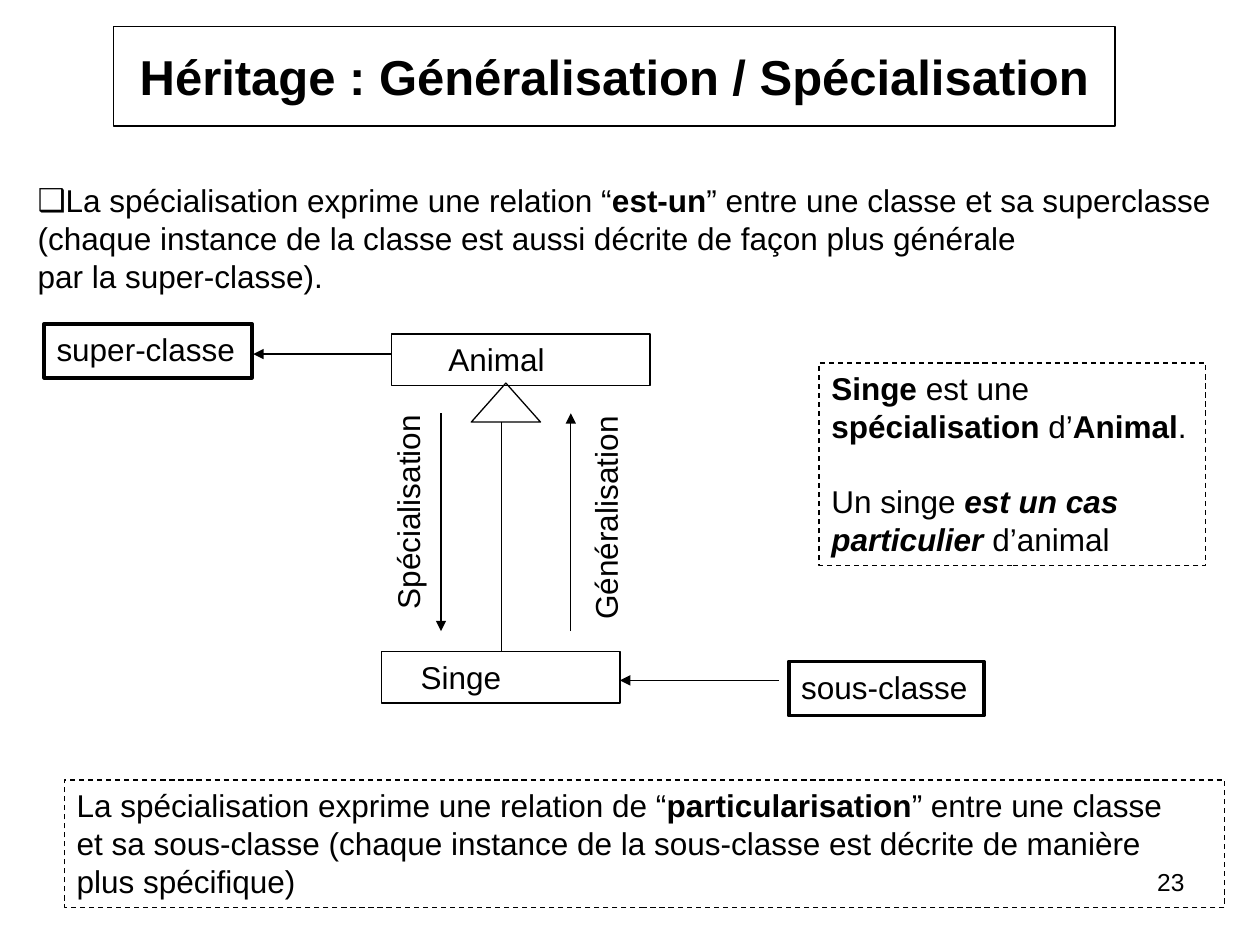
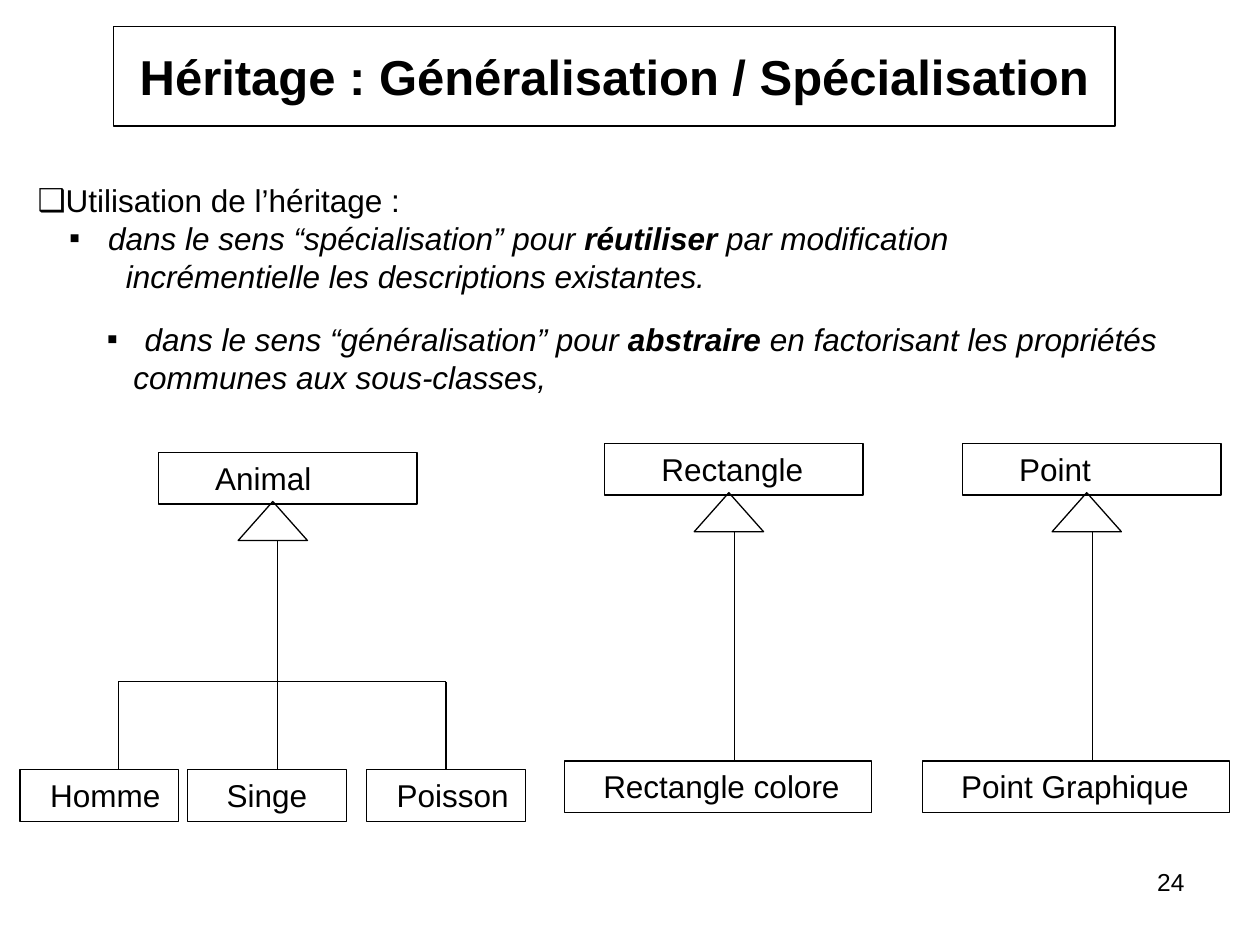
from lxml import etree
from pptx import Presentation
from pptx.dml.color import RGBColor
from pptx.enum.dml import MSO_LINE
from pptx.enum.shapes import MSO_CONNECTOR, MSO_SHAPE
from pptx.enum.text import MSO_ANCHOR, MSO_AUTO_SIZE, PP_ALIGN
from pptx.oxml.ns import qn
from pptx.util import Inches, Pt

STRAIGHT = MSO_CONNECTOR.STRAIGHT
RECTANGLE = MSO_SHAPE.RECTANGLE
TRIANGLE = MSO_SHAPE.ISOSCELES_TRIANGLE
DASH = MSO_LINE.DASH
MIDDLE, TOP = MSO_ANCHOR.MIDDLE, MSO_ANCHOR.TOP
LEFT, CENTER, RIGHT = PP_ALIGN.LEFT, PP_ALIGN.CENTER, PP_ALIGN.RIGHT
FIXED, GROW = MSO_AUTO_SIZE.NONE, MSO_AUTO_SIZE.SHAPE_TO_FIT_TEXT

FONT = "Arial"
BLACK = "000000"
THIN, THICK = 0.75, 2
BODY_SIZE, TITLE_SIZE, NUMBER_SIZE = 18, 28, 14
BOX_HEIGHT = 0.41
PARENT_WIDTH = 2.05
PARENT_INDENT = 0.35
CHILD_DROP = 2.52  # from the top of a parent class to the top of its child
TITLE = "Héritage : Généralisation / Spécialisation"


def color(hex_string):
    return RGBColor.from_string(hex_string)


def inches(*lengths):
    return [Inches(length) for length in lengths]


def outline(shape, width=THIN, dash=None):
    shape.line.color.rgb = color(BLACK)
    shape.line.width = Pt(width)
    if dash:
        shape.line.dash_style = dash


# Text: a paragraph is a string or a list of (text, style) spans,
# where a style holds "b" for bold and "i" for italic.
def write(frame, paragraphs, size=BODY_SIZE, align=LEFT, wrap=True,
          anchor=TOP, auto_size=GROW):
    frame.word_wrap = wrap
    frame.vertical_anchor = anchor
    frame.auto_size = auto_size
    for index, spans in enumerate(paragraphs):
        para = frame.paragraphs[0] if index == 0 else frame.add_paragraph()
        para.alignment = align
        if isinstance(spans, str):
            spans = [(spans, "")]
        for text, style in spans:
            span = para.add_run()
            span.text = text
            span.font.name = FONT
            span.font.size = Pt(size)
            span.font.color.rgb = color(BLACK)
            span.font.bold = "b" in style
            span.font.italic = "i" in style


def indent(para, margin, hang=0.0, bullet=None):
    properties = para._p.get_or_add_pPr()
    properties.set("marL", str(Inches(margin)))
    properties.set("indent", str(-Inches(hang)))
    if bullet:
        etree.SubElement(properties, qn("a:buFont")).set("typeface", FONT)
        etree.SubElement(properties, qn("a:buChar")).set("char", bullet)


def add_text(slide, place, paragraphs, rotation=0, **options):
    box = slide.shapes.add_textbox(*inches(*place))
    box.rotation = rotation
    write(box.text_frame, paragraphs, **options)
    return box.text_frame.paragraphs


def add_outline_shape(slide, kind, place, width=THIN, dash=None):
    shape = slide.shapes.add_shape(kind, *inches(*place))
    shape.shadow.inherit = False
    shape.fill.background()
    outline(shape, width, dash)
    return shape


def add_note(slide, place, paragraphs):
    note = add_outline_shape(slide, RECTANGLE, place, dash=DASH)
    write(note.text_frame, paragraphs)
    return note.text_frame.paragraphs


def add_role(slide, place, name):
    role = add_outline_shape(slide, RECTANGLE, place, THICK)
    write(role.text_frame, [name], wrap=False)


def add_line(slide, start, end, arrow=False):
    line = slide.shapes.add_connector(STRAIGHT, *inches(*start, *end))
    outline(line)
    if arrow:
        stroke = line.line._get_or_add_ln()
        etree.SubElement(stroke, qn("a:tailEnd")).set("type", "triangle")
    etree.SubElement(line._element.spPr, qn("a:effectLst"))


# Class diagrams
def add_class(slide, name, left, top, width, text_indent):
    place = (left, top, width, BOX_HEIGHT)
    box = add_outline_shape(slide, RECTANGLE, place)
    write(box.text_frame, [name])
    indent(box.text_frame.paragraphs[0], text_indent)


def add_parent(slide, name, left, top, triangle_left, line_x):
    """Parent class with its inheritance triangle and the line to a child."""
    add_class(slide, name, left, top, PARENT_WIDTH, PARENT_INDENT)
    add_outline_shape(slide, TRIANGLE, (triangle_left, top + 0.39, 0.55, 0.31))
    add_line(slide, (line_x, top + 0.7), (line_x, top + CHILD_DROP))


def add_titled_slide(deck, number):
    slide = deck.slides.add_slide(deck.slide_layouts[5])
    title = slide.shapes.title
    title.left, title.top, title.width, title.height = inches(
        0.9, 0.21, 7.95, 0.79)
    geometry = etree.SubElement(title._element.spPr, qn("a:prstGeom"))
    geometry.set("prst", "roundRect")
    etree.SubElement(geometry, qn("a:avLst"))
    title.fill.background()
    outline(title)
    write(title.text_frame, [[(TITLE, "b")]], TITLE_SIZE, CENTER,
          wrap=False, anchor=MIDDLE, auto_size=FIXED)
    add_text(slide, (7.17, 6.83, 2.33, 0.52), [str(number)], size=NUMBER_SIZE,
             align=RIGHT, auto_size=FIXED)
    return slide


def build_relation_slide(deck):
    slide = add_titled_slide(deck, 23)
    lines = add_text(slide, (0.2, 1.39, 9.61, 1), [
        [("La spécialisation exprime une relation “", ""), ("est-un", "b"),
         ("” entre une classe et sa superclasse", "")],
        "(chaque instance de la classe est aussi décrite de façon plus générale",
        "par la super-classe).",
    ])
    indent(lines[0], 0, bullet="❑")

    # Animal and Singe, with their roles
    add_parent(slide, "Animal", 3.11, 2.65, 3.74, 3.98)
    add_class(slide, "Singe", 3.03, 2.65 + CHILD_DROP, 1.89, 0.21)
    add_role(slide, (0.35, 2.57, 1.65, 0.43), "super-classe")
    add_role(slide, (6.26, 5.25, 1.55, 0.43), "sous-classe")
    add_line(slide, (3.11, 2.81), (2.01, 2.81), arrow=True)
    add_line(slide, (6.18, 5.4), (4.92, 5.4), arrow=True)

    # Directions of reading
    add_line(slide, (3.5, 3.28), (3.5, 5.01), arrow=True)
    add_line(slide, (4.53, 5.01), (4.53, 3.28), arrow=True)
    add_text(slide, (2.17, 3.67, 2.13, 0.4), ["Spécialisation"], rotation=270)
    add_text(slide, (3.74, 3.75, 2.13, 0.4), ["Généralisation"], rotation=270)

    # Notes
    lines = add_note(slide, (6.5, 2.88, 3.07, 1.61), [
        [("Singe ", "b"), ("est une", "")],
        [("spécialisation ", "b"), ("d’", ""), ("Animal", "b"), (".", "")],
        [("Un singe ", ""), ("est un cas", "bi")],
        [("particulier ", "bi"), ("d’animal", "")],
    ])
    lines[2].space_before = Pt(21.6)
    add_note(slide, (0.51, 6.19, 9.21, 1.01), [
        [("La spécialisation exprime une relation de “", ""),
         ("particularisation", "b"), ("” entre une classe", "")],
        "et sa sous-classe (chaque instance de la sous-classe est décrite de manière",
        "plus spécifique)",
    ])


def build_usage_slide(deck):
    slide = add_titled_slide(deck, 24)
    lines = add_text(slide, (0.2, 1.39, 9.61, 1), [
        "Utilisation de l’héritage :",
        [("dans le sens “spécialisation” pour ", "i"), ("réutiliser ", "bi"),
         ("par modification", "i")],
        [("incrémentielle les descriptions existantes.", "i")],
    ])
    indent(lines[0], 0, bullet="❑")
    indent(lines[1], 0.56, 0.31, "▪")
    indent(lines[2], 0.7)
    lines = add_text(slide, (0.75, 2.49, 8.58, 0.7), [
        [("dans le sens “généralisation” pour ", "i"), ("abstraire ", "bi"),
         ("en factorisant les propriétés", "i")],
        [("communes aux sous-classes,", "i")],
    ])
    indent(lines[0], 0.3, 0.3, "▪")
    indent(lines[1], 0.21)

    # Animal and its three children
    animal_top, branch_y = 3.59, 5.41
    child_top = animal_top + CHILD_DROP
    add_parent(slide, "Animal", 1.26, animal_top, 1.89, 2.2)
    for name, left, text_indent in (("Homme", 0.16, 0.14),
                                    ("Singe", 1.49, 0.21),
                                    ("Poisson", 2.91, 0.14)):
        add_class(slide, name, left, child_top, 1.26, text_indent)
    outer_branches = (0.94, 3.54)
    add_line(slide, *[(x, branch_y) for x in outer_branches])
    for x in outer_branches:
        add_line(slide, (x, branch_y), (x, child_top))

    # Parents with a single child
    for parent, child, left in (("Rectangle", "Rectangle colore", 4.8),
                                ("Point", "Point Graphique", 7.64)):
        add_parent(slide, parent, left, 3.52, left + 0.71, left + 1.03)
        add_class(slide, child, left - 0.32, 3.52 + CHILD_DROP, 2.44, 0.21)


def main():
    deck = Presentation()
    deck.slide_width, deck.slide_height = inches(10, 7.5)
    build_relation_slide(deck)
    build_usage_slide(deck)
    deck.save("out.pptx")


if __name__ == "__main__":
    main()
